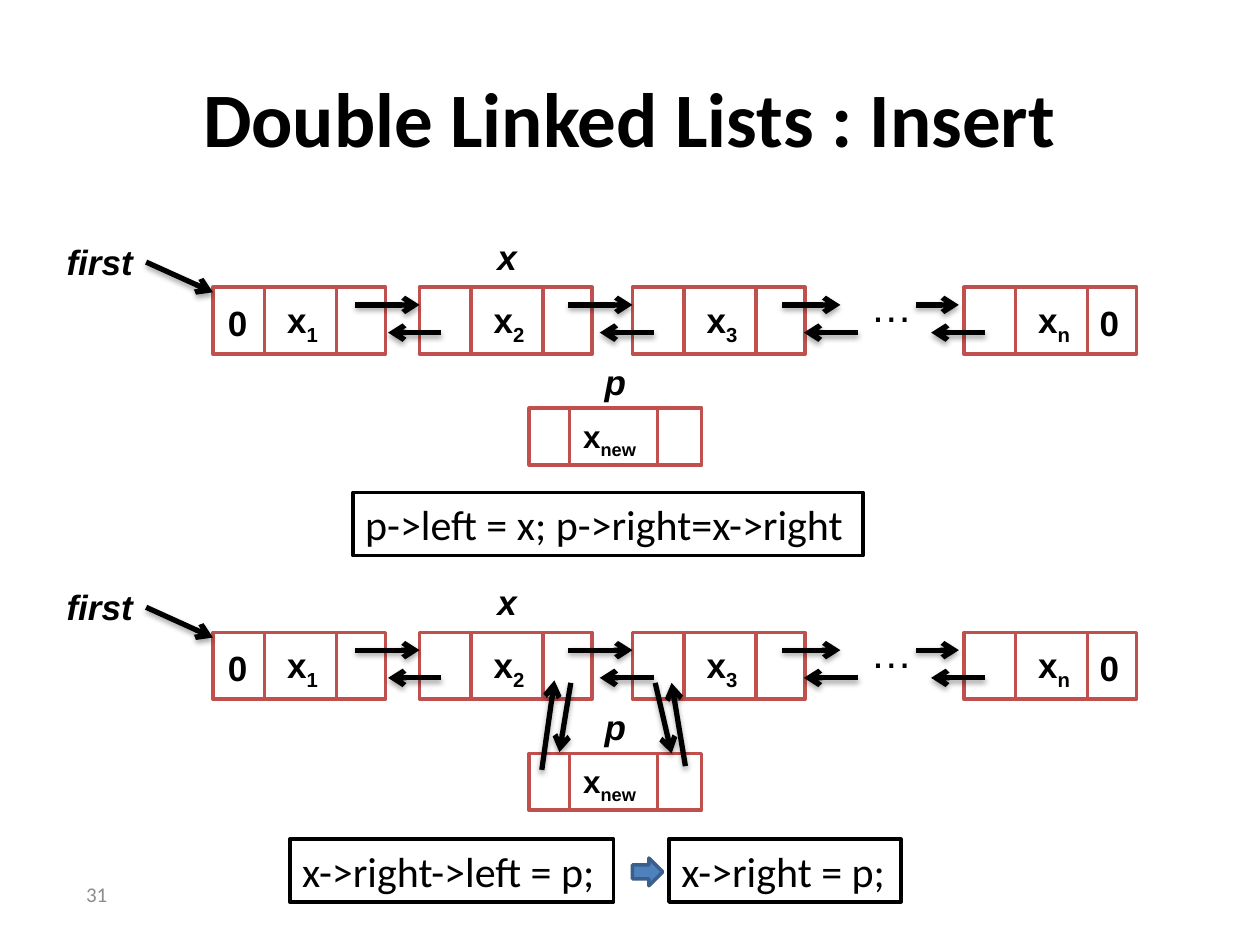
from dataclasses import dataclass

from lxml.etree import SubElement
from pptx import Presentation
from pptx.dml.color import RGBColor
from pptx.enum.shapes import MSO_CONNECTOR, MSO_SHAPE
from pptx.enum.text import MSO_ANCHOR, MSO_AUTO_SIZE, PP_ALIGN
from pptx.oxml.ns import qn
from pptx.util import Emu, Pt

PX = 9144  # 100 px to the inch


@dataclass(frozen=True)
class Theme:
    ink: str = "000000"
    paper: str = "FFFFFF"
    node: str = "C0504D"
    accent: str = "4F81BD"
    accent_edge: str = "3A5F8C"
    muted: str = "8C8C8C"
    diagram_font: str = "Arial"
    text_font: str = "Calibri"
    title_size: int = 44
    code_size: int = 24
    label_size: int = 20
    new_label_size: int = 18
    number_size: int = 12


def px(*lengths):
    return [Emu(length * PX) for length in lengths]


def color(code):
    return RGBColor.from_string(code)


class Painter:
    def __init__(self, slide, theme):
        self.slide = slide
        self.theme = theme

    def style(self, paragraph, size, font_name, code, bold=False, italic=False):
        font = paragraph.font
        font.size, font.name = Pt(size), font_name
        font.bold, font.italic = bold, italic
        font.color.rgb = color(code)

    def outline(self, shape, fill, edge):
        shape.fill.solid()
        shape.fill.fore_color.rgb = color(fill)
        shape.line.color.rgb = color(edge)
        shape.line.width = Pt(2)

    def title(self, text):
        title = self.slide.shapes.title
        title.left, title.top, title.width, title.height = px(50, 30, 900, 125)
        title.text_frame.text = text
        title.text_frame.vertical_anchor = MSO_ANCHOR.MIDDLE
        paragraph = title.text_frame.paragraphs[0]
        paragraph.alignment = PP_ALIGN.CENTER
        self.style(paragraph, self.theme.title_size, self.theme.text_font, self.theme.ink, bold=True)

    def shape(self, kind, left, top, width, height, fill, edge):
        shape = self.slide.shapes.add_shape(kind, *px(left, top, width, height))
        shape.shadow.inherit = False
        self.outline(shape, fill, edge)

    def text(self, text, left, top, width, height):
        box = self.slide.shapes.add_textbox(*px(left, top, width, height))
        frame = box.text_frame
        frame.word_wrap = False
        frame.auto_size = MSO_AUTO_SIZE.SHAPE_TO_FIT_TEXT
        paragraph = frame.paragraphs[0]
        paragraph.add_run().text = text
        return box, paragraph

    def label(self, text, left, top, width, subscript="", size=None, italic=False):
        size = size or self.theme.label_size
        _, paragraph = self.text(text, left, top, width, 2 * size + 4)
        if subscript:
            span = paragraph.add_run()
            span.text = subscript
            span.font._element.set("baseline", "-25000")
        self.style(paragraph, size, self.theme.diagram_font, self.theme.ink, bold=True, italic=italic)

    def ellipsis(self, left, top):
        _, paragraph = self.text("…", left, top, 54, 50)
        self.style(paragraph, self.theme.code_size, self.theme.diagram_font, self.theme.ink)

    def code(self, text, left, top, width):
        box, paragraph = self.text(text, left, top, width, 50)
        self.outline(box, self.theme.paper, self.theme.ink)
        self.style(paragraph, self.theme.code_size, self.theme.text_font, self.theme.ink)

    def page_number(self, text):
        box, paragraph = self.text(text, -138, 690, 233, 40)
        box.text_frame.word_wrap = True
        box.text_frame.auto_size = MSO_AUTO_SIZE.NONE
        box.text_frame.vertical_anchor = MSO_ANCHOR.MIDDLE
        paragraph.alignment = PP_ALIGN.RIGHT
        self.style(paragraph, self.theme.number_size, self.theme.text_font, self.theme.muted)

    def line(self, start_x, start_y, end_x, end_y, code, width):
        """Draw a straight line and return it with its empty effect list."""
        line = self.slide.shapes.add_connector(
            MSO_CONNECTOR.STRAIGHT, *px(start_x, start_y, end_x, end_y))
        line.line.color.rgb = color(code)
        line.line.width = Pt(width)
        return line, SubElement(line._element.spPr, qn("a:effectLst"))

    def arrow(self, start_x, start_y, end_x, end_y):
        arrow, effects = self.line(start_x, start_y, end_x, end_y, self.theme.ink, 3)
        SubElement(arrow.line._get_or_add_ln(), qn("a:tailEnd"), type="arrow")
        shadow = SubElement(effects, qn("a:outerShdw"), blurRad="40000", dist="23000",
                            dir="5400000", rotWithShape="0")
        tint = SubElement(shadow, qn("a:srgbClr"), val=self.theme.ink)
        SubElement(tint, qn("a:alpha"), val="35000")

    def node(self, left, top, height, dividers):
        self.shape(MSO_SHAPE.RECTANGLE, left, top, 137, height, self.theme.paper, self.theme.node)
        for offset in dividers:
            x = left + offset
            self.line(x, top, x, top + height, self.theme.node, 2)

    def linked_list(self, top):
        """Draw the chain whose nodes start at top, and the new node under it."""
        for left, subscript in ((169, "1"), (333, "2"), (502, "3"), (765, "n")):
            self.node(left, top, 53, (41, 98))
            self.label("x", left + 49, top + 4, 46, subscript)
        for left in (171, 863):
            self.label("0", left, top + 6, 36)
        self.ellipsis(681, top - 10)

        self.arrow(116, top - 20, 169, top + 4)
        for start, end in ((282, 333), (451, 502), (621, 667), (727, 761)):
            self.arrow(start, top + 14, end, top + 14)
        for start, end in ((350, 308), (519, 476), (681, 638), (782, 739)):
            self.arrow(start, top + 36, end, top + 36)

        self.node(420, top + 96, 45, (32, 102))
        self.label("x", 453, top + 98, 67, "new", self.theme.new_label_size)
        for name, left, offset, width in (("first", 43, -42, 73), ("x", 385, -46, 36), ("p", 470, 53, 37)):
            self.label(name, left, top + offset, width, italic=True)


def main():
    theme = Theme()
    deck = Presentation()
    deck.slide_width, deck.slide_height = px(1000, 750)
    page = Painter(deck.slides.add_slide(deck.slide_layouts[5]), theme)

    page.title("Double Linked Lists : Insert")
    for top in (228, 502):
        page.linked_list(top)
    for ends in ((430, 611, 440, 540), (544, 608, 533, 542),
                 (520, 542, 533, 598), (453, 542, 444, 597)):
        page.arrow(*ends)

    page.code("p->left = x; p->right=x->right", 280, 391, 405)
    page.code("x->right->left = p;", 230, 666, 257)
    page.code("x->right = p;", 531, 666, 184)
    page.shape(MSO_SHAPE.RIGHT_ARROW, 502, 681, 24, 22, theme.accent, theme.accent_edge)
    page.page_number("31")
    deck.save("out.pptx")


if __name__ == "__main__":
    main()
